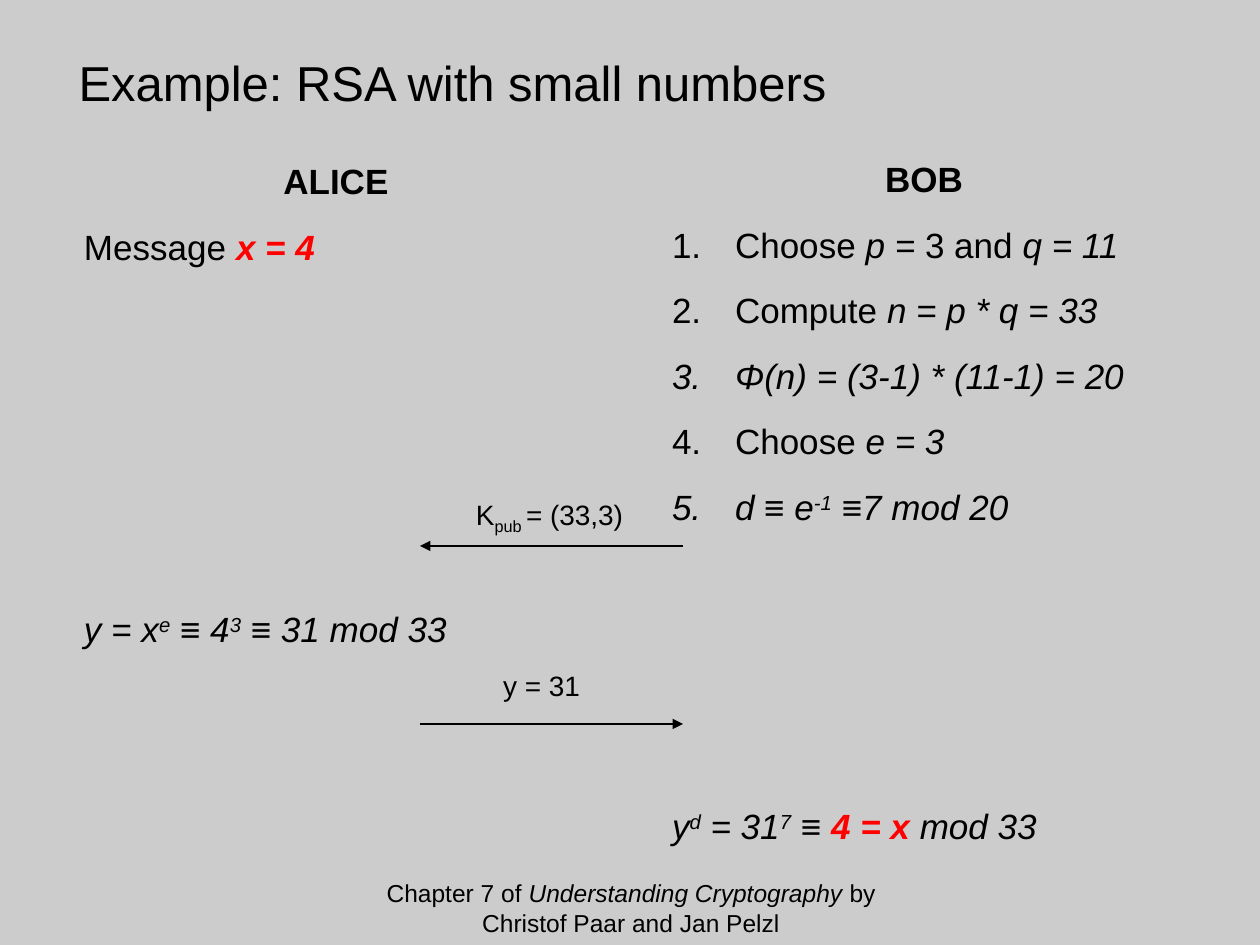
from dataclasses import dataclass

from pptx import Presentation
from pptx.dml.color import RGBColor as RGB
from pptx.enum.shapes import MSO_CONNECTOR as CONN
from pptx.enum.text import MSO_ANCHOR as ANCHOR, MSO_AUTO_SIZE as FIT, PP_ALIGN as ALIGN
from pptx.oxml.ns import qn
from pptx.util import Emu, Pt
from lxml.etree import SubElement


@dataclass(frozen=True)
class Theme:
    font: str = "Arial"
    back: RGB = RGB(0xCC, 0xCC, 0xCC)
    ink: RGB = RGB(0, 0, 0)
    accent: RGB = RGB(0xFF, 0, 0)
    title: int = 28
    body: int = 20
    label: int = 16
    footer: int = 14


T = Theme()
PX = 914400 / 126
INDENT = 63
GAP, PITCH = 7.5, 36.25  # points between paragraphs, and from line to line


def place(sp, *box):
    sp.left, sp.top, sp.width, sp.height = (Emu(round(v * PX)) for v in box)


def add_runs(p, size, runs):
    """Add (text, flags) runs: b bold, i italic, r red, ^ superscript, _ subscript."""
    for text, flags in runs:
        r = p.add_run()
        r.text = text
        f = r.font
        f.name, f.size = T.font, Pt(size)
        f.bold, f.italic = "b" in flags, "i" in flags
        f.color.rgb = T.accent if "r" in flags else T.ink
        if "^" in flags:
            f._element.set("baseline", "30000")
        if "_" in flags:
            f._element.set("baseline", "-25000")


prs = Presentation()
prs.slide_width, prs.slide_height = Emu(round(1260 * PX)), Emu(round(945 * PX))
s = prs.slides.add_slide(prs.slide_layouts[3])
s.background.fill.solid()
s.background.fill.fore_color.rgb = T.back
title, alice, bob = s.placeholders

# Title
place(title, 66, 44, 1136, 74)
tf = title.text_frame
tf.auto_size, tf.vertical_anchor = FIT.NONE, ANCHOR.BOTTOM
tf.paragraphs[0].alignment = ALIGN.LEFT
add_runs(tf.paragraphs[0], T.title, [("Example: RSA with small numbers", "")])

# Columns: each paragraph is (kind, lines left free above, runs)
columns = [
    (alice, (84, 149, 504, 694), [
        ("head", 0, [("ALICE", "b")]),
        ("text", 0, [("Message ", ""), ("x = 4", "bir")]),
        ("text", 5, [("y = x", "i"), ("e", "i^"), (" ≡ 4", "i"), ("3", "i^"),
                     (" ≡ 31 mod 33", "i")]),
    ]),
    (bob, (672, 147, 504, 694), [
        ("head", 0, [("BOB", "b")]),
        ("step", 0, [("Choose ", ""), ("p =", "i"), (" 3 and ", ""), ("q = 11", "i")]),
        ("step", 0, [("Compute ", ""), ("n = p * q = 33", "i")]),
        ("step", 0, [("Φ(n) = (3-1) * (11-1) = 20", "i")]),
        ("step", 0, [("Choose ", ""), ("e = 3", "i")]),
        ("step", 0, [("d ≡ e", "i"), ("-1", "i^"), (" ≡7 mod 20", "i")]),
        ("text", 4, [("y", "i"), ("d", "i^"), (" = 31", "i"), ("7", "i^"), (" ≡ ", "i"),
                     ("4 = x ", "bir"), ("mod 33", "i")]),
    ]),
]
for sp, box, paragraphs in columns:
    place(sp, *box)
    tf = sp.text_frame
    tf.auto_size, tf.vertical_anchor = FIT.NONE, ANCHOR.TOP
    tf.margin_left = tf.margin_top = tf.margin_right = tf.margin_bottom = 0
    for i, (kind, free_lines, runs) in enumerate(paragraphs):
        p = tf.add_paragraph() if i else tf.paragraphs[0]
        p.alignment = ALIGN.CENTER if kind == "head" else ALIGN.LEFT
        p.line_spacing = 1.25
        p.space_before = Pt(GAP + free_lines * PITCH if i else 0)
        pPr = p._p.get_or_add_pPr()
        pPr.set("marL", str(round(INDENT * PX)))
        pPr.set("indent", str(round(-INDENT * PX)))
        if kind == "step":
            SubElement(pPr, qn("a:buFont"), typeface="+mj-lt")
            SubElement(pPr, qn("a:buAutoNum"), type="arabicPeriod")
        else:
            SubElement(pPr, qn("a:buNone"))
        add_runs(p, T.body, runs)

# Messages between the two sides
for x1, x2, y in [(683, 420, 546), (420, 683, 724)]:
    ends = (Emu(round(v * PX)) for v in (x1, y, x2, y))
    arrow = s.shapes.add_connector(CONN.STRAIGHT, *ends)
    arrow.line.color.rgb, arrow.line.width = T.ink, Pt(0.75)
    SubElement(arrow.line._get_or_add_ln(), qn("a:tailEnd"), type="triangle")
    SubElement(arrow._element.spPr, qn("a:effectLst"))

# Message labels and footer
captions = [
    ((428, 491, 243, 47), T.label, [("K", ""), ("pub ", "_"), ("= (33,3)", "")]),
    ((420, 662, 243, 47), T.label, [("y = 31", "")]),
    ((333, 872, 596, 72), T.footer, [("Chapter 7 of ", ""), ("Understanding Cryptography", "i"),
                                     (" by Christof Paar and Jan Pelzl", "")]),
]
for box, size, runs in captions:
    sp = s.shapes.add_textbox(0, 0, 0, 0)
    place(sp, *box)
    tf = sp.text_frame
    tf.word_wrap = True
    tf.paragraphs[0].alignment = ALIGN.CENTER
    add_runs(tf.paragraphs[0], size, runs)

prs.save("out.pptx")
